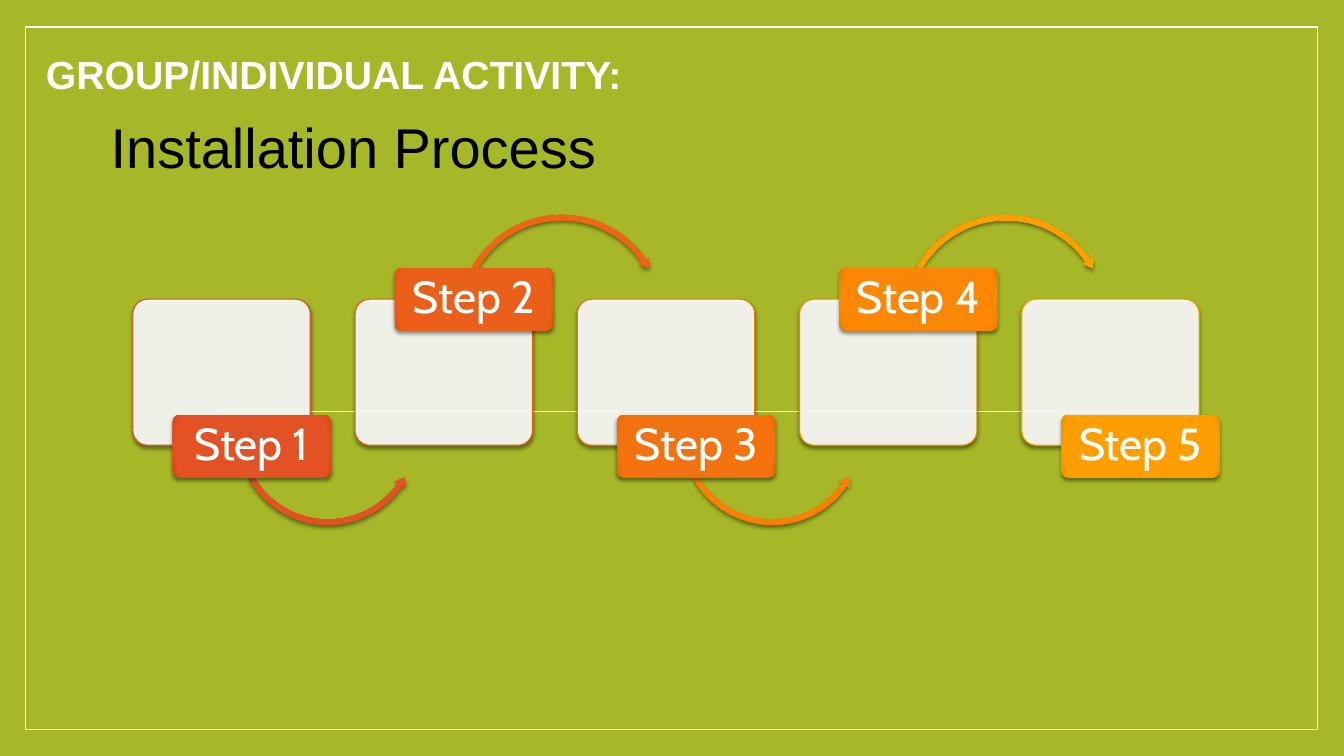
from dataclasses import dataclass

from lxml import etree
from pptx import Presentation
from pptx.dml.color import RGBColor
from pptx.enum.shapes import MSO_CONNECTOR, MSO_SHAPE
from pptx.enum.text import MSO_ANCHOR, PP_ALIGN
from pptx.oxml import parse_xml
from pptx.oxml.ns import nsdecls, qn
from pptx.util import Cm, Pt

RECT = MSO_SHAPE.RECTANGLE
ROUNDED = MSO_SHAPE.ROUNDED_RECTANGLE
ARC_OVER = MSO_SHAPE.CIRCULAR_ARROW
ARC_UNDER = MSO_SHAPE.LEFT_CIRCULAR_ARROW
STRAIGHT = MSO_CONNECTOR.STRAIGHT
MIDDLE = MSO_ANCHOR.MIDDLE
CENTER = PP_ALIGN.CENTER

GREEN = RGBColor(0xA6, 0xB7, 0x27)
WHITE = RGBColor(0xFF, 0xFF, 0xFF)
BLACK = RGBColor(0x00, 0x00, 0x00)

# Step grid, in centimetres
FIRST_LEFT, PITCH = 3.35, 5.6
CARD_TOP, CARD_W, CARD_H = 7.54, 4.47, 3.68
TAG_DX, TAG_W, TAG_H = 1.0, 3.99, 1.57
ARC_DX = 2.54


@dataclass(frozen=True)
class Side:
    """Where a step's tag and the arrow leaving it sit."""
    tag_top: float
    arc: MSO_SHAPE
    arc_top: float
    arc_size: float
    arc_adj: tuple[float, ...]


@dataclass(frozen=True)
class Step:
    label: str
    tag: tuple[RGBColor, ...]
    arc: tuple[RGBColor, ...] = ()


def colors(codes: str) -> tuple[RGBColor, ...]:
    return tuple(RGBColor.from_string(c) for c in codes.split())


BELOW = Side(10.46, ARC_UNDER, 8.56, 4.75, (0.028, 3.37, 21.125, 90.245, 0.032))
ABOVE = Side(6.76, ARC_OVER, 5.33, 5.33, (0.025, 2.987, 195.258, 125.755, 0.029))
RED = colors("DF5327 E45122 DB4313")
AMBER = colors("FE9E00 FE9E00 E78F00")
STEPS = [
    Step("Step 1", RED, RED),
    Step("Step 2", colors("E7611D EC5F18 E45208"), colors("E9661A EF6515 E75805")),
    Step("Step 3", colors("EF7213 F4710E EA6500"), colors("F47F0D FA7F07 E97300")),
    Step("Step 4", colors("F78609 FD8703 E87A00"), AMBER),
    Step("Step 5", AMBER),
]


def add_run(p, text: str, font: str, size: float, color: RGBColor, bold: bool = False) -> None:
    r = p.add_run()
    r.text = text
    r.font.name, r.font.size, r.font.bold = font, Pt(size), bold
    r.font.color.rgb = color


def add_shape(s, kind, x: float, y: float, w: float, h: float, adj: tuple[float, ...] = ()):
    sp = s.shapes.add_shape(kind, Cm(x), Cm(y), Cm(w), Cm(h))
    sp.shadow.inherit = False
    for i, value in enumerate(adj):
        sp.adjustments[i] = value
    return sp


def add_shadow(sp) -> None:
    effects = sp._element.spPr.find(qn("a:effectLst"))
    effects.append(parse_xml(
        f'<a:outerShdw {nsdecls("a")} blurRad="38100" dist="25400" dir="5400000" rotWithShape="0">'
        '<a:srgbClr val="000000"><a:alpha val="45000"/></a:srgbClr></a:outerShdw>'))


def fill_radial(sp, stops: tuple[RGBColor, ...]) -> None:
    sp.line.fill.background()
    gs = "".join(f'<a:gs pos="{pos}"><a:srgbClr val="{c}"/></a:gs>'
                 for pos, c in zip((0, 90000, 100000), stops))
    sp._element.spPr.find(qn("a:prstGeom")).addnext(parse_xml(
        f'<a:gradFill {nsdecls("a")} rotWithShape="1"><a:gsLst>{gs}</a:gsLst><a:path path="circle">'
        '<a:fillToRect l="100000" t="100000" r="100000" b="100000"/></a:path></a:gradFill>'))
    add_shadow(sp)


def add_text(s, x: float, y: float, w: float, h: float, wrap: bool, text: str,
             size: float, color: RGBColor, bold: bool = False) -> None:
    tf = s.shapes.add_textbox(Cm(x), Cm(y), Cm(w), Cm(h)).text_frame
    tf.word_wrap = wrap
    add_run(tf.paragraphs[0], text, "Arial", size, color, bold)


def add_step(s, step: Step, left: float, side: Side) -> None:
    # Card
    card = add_shape(s, ROUNDED, left, CARD_TOP, CARD_W, CARD_H, (0.1,))
    card.fill.solid()
    card.fill.fore_color.rgb = WHITE
    clr = card._element.spPr.find(qn("a:solidFill"))[0]
    etree.SubElement(clr, qn("a:alpha")).set("val", "90000")
    card.line.color.rgb, card.line.width = step.tag[0], Pt(0.79)
    add_shadow(card)
    # Arrow to the next step
    if step.arc:
        arc = add_shape(s, side.arc, left + ARC_DX, side.arc_top,
                        side.arc_size, side.arc_size, side.arc_adj)
        fill_radial(arc, step.arc)
    # Tag
    tag = add_shape(s, ROUNDED, left + TAG_DX, side.tag_top, TAG_W, TAG_H, (0.1,))
    fill_radial(tag, step.tag)
    tf = tag.text_frame
    tf.word_wrap, tf.vertical_anchor = True, MIDDLE
    tf.margin_left = tf.margin_right = Cm(0.2)
    tf.margin_top = tf.margin_bottom = Cm(0.1)
    p = tf.paragraphs[0]
    p.alignment, p.line_spacing = CENTER, 0.9
    add_run(p, step.label, "Cabin", 32, WHITE)


def main() -> None:
    prs = Presentation()
    prs.slide_width, prs.slide_height = Cm(33.87), Cm(19.05)
    s = prs.slides.add_slide(prs.slide_layouts[6])
    s.background.fill.solid()
    s.background.fill.fore_color.rgb = GREEN

    # Frame and middle rule
    frame = add_shape(s, RECT, 0.64, 0.68, 32.56, 17.71)
    frame.fill.solid()
    frame.fill.fore_color.rgb = GREEN
    frame.line.color.rgb, frame.line.width = WHITE, Pt(1)
    rule = s.shapes.add_connector(STRAIGHT, Cm(5.49), Cm(10.36), Cm(28.35), Cm(10.36))
    rule.line.color.rgb, rule.line.width = WHITE, Pt(0.79)
    etree.SubElement(rule._element.spPr, qn("a:effectLst"))

    # Headings
    add_text(s, 0.91, 1.14, 27.69, 1.4, True, "GROUP/INDIVIDUAL ACTIVITY:", 28, WHITE, True)
    add_text(s, 2.54, 2.72, 12.88, 1.96, False, "Installation Process", 40, BLACK)

    # Steps, with tags alternately below and above
    for i, step in enumerate(STEPS):
        add_step(s, step, FIRST_LEFT + i * PITCH, ABOVE if i % 2 else BELOW)

    prs.save("out.pptx")


if __name__ == "__main__":
    main()
